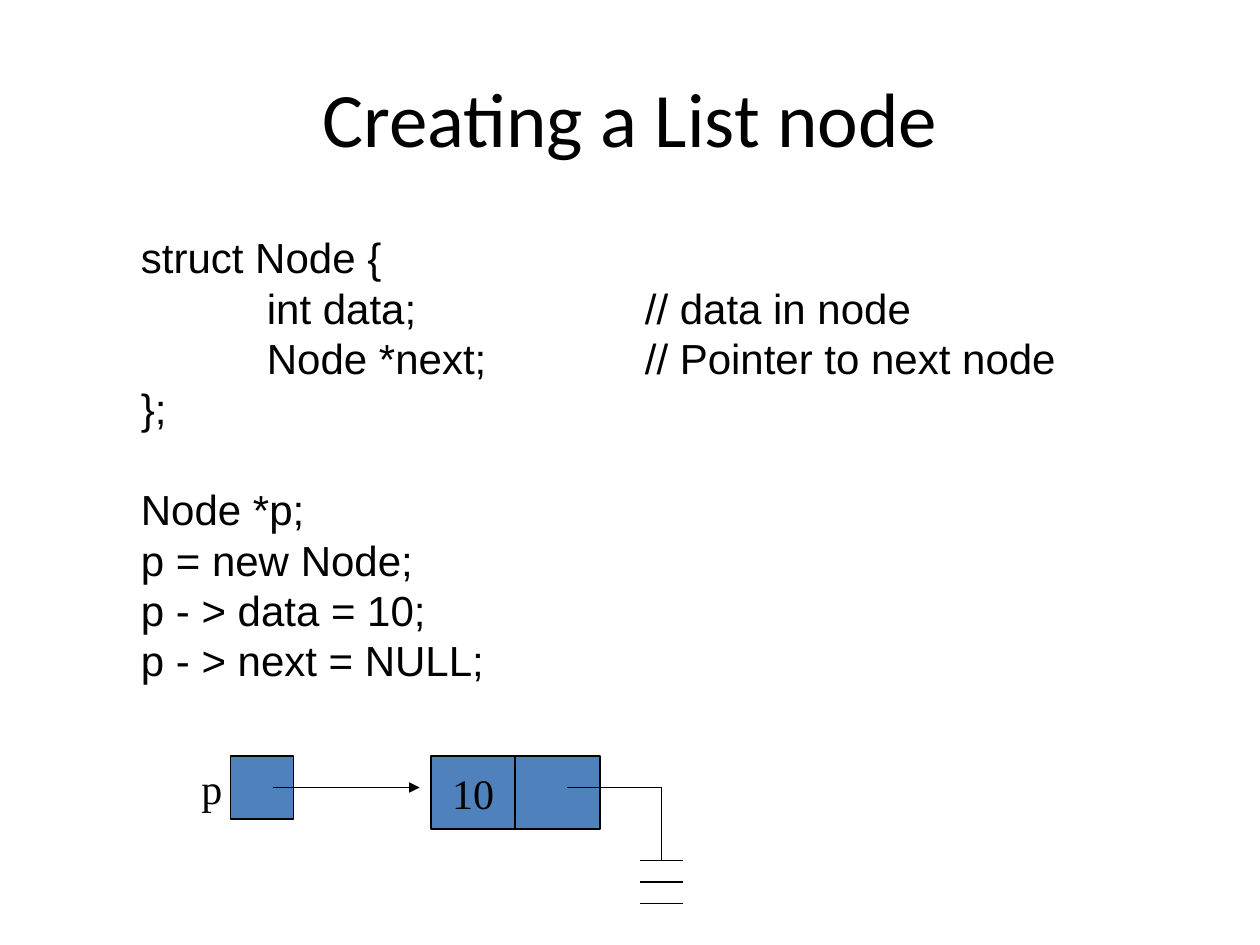
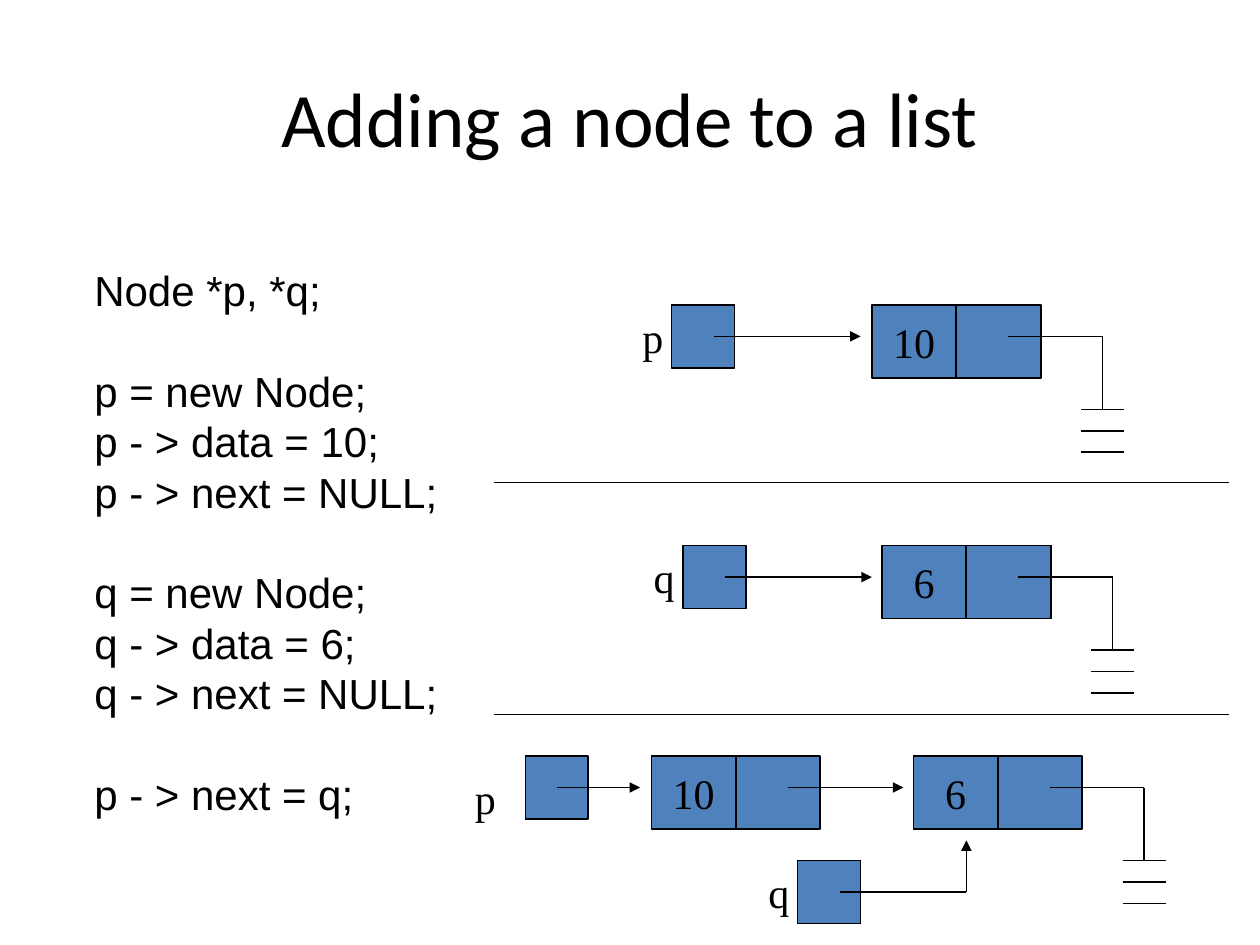
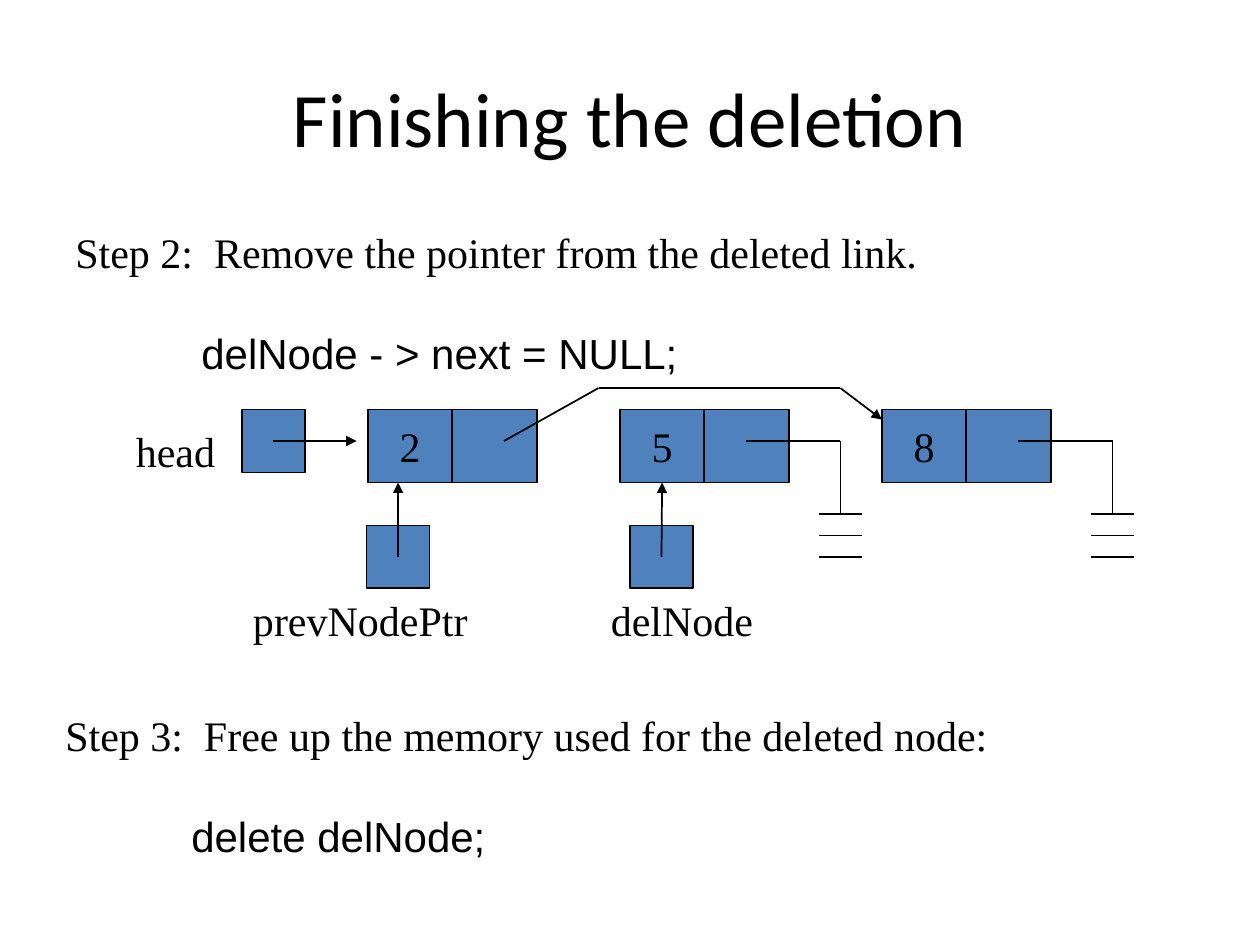
from pptx import Presentation
from pptx.dml.color import RGBColor
from pptx.enum.shapes import MSO_CONNECTOR, MSO_SHAPE
from pptx.enum.text import MSO_ANCHOR, PP_ALIGN
from pptx.oxml.ns import qn
from pptx.util import Inches, Pt
from lxml.etree import SubElement

COLORS = {"ink": "000000", "cell": "4F81BD"}
SERIF, CODE, HEAD = "Times New Roman", "Arial", "Calibri"
CELL_W, CELL_H, BOX = 0.67, 0.58, 0.5
STEP = 0.17   # half width of a null bar, and the gap between bars
LEAD = 28.8   # line height in points

# texts: left, top, width, height, blocks; each block is (font, lines)
# nodes: left, top, value         boxes: left, top of a pointer box
# labels: left, top, width, text  nulls: start of the line to a null sign
# arrows: points, then the value of the node joined below, or None
# lines: points
SLIDES = [
    {
        "title": "Creating a List node",
        "texts": [(1.02, 1.79, 7.46, 3.7, [
            (CODE, ["struct Node {", "\tint data;\t\t// data in node",
                    "\tNode *next;\t\t// Pointer to next node", "};"]),
            (CODE, ["Node *p;", "p = new Node;", "p - > data = 10;",
                    "p - > next = NULL;"]),
        ])],
        "nodes": [(3.42, 6, "10")],
        "boxes": [(1.83, 6)],
        "labels": [(1.5, 6, 0.36, "p")],
        "nulls": [(4.5, 6.25)],
        "arrows": [([(2.17, 6.25), (3.33, 6.25)], None)],
        "lines": [],
    },
    {
        "title": "Adding a node to a list",
        "texts": [(0.65, 2.05, 8.68, 4.9, [
            (CODE, ["Node *p, *q;"]),
            (CODE, ["p = new Node;", "p - > data = 10;", "p - > next = NULL;"]),
            (CODE, ["q = new Node;", "q - > data = 6;", "q - > next = NULL;"]),
            (CODE, ["p - > next = q;"]),
        ])],
        "nodes": [(6.92, 2.42, "10"), (7, 4.33, "6"), (5.17, 6, "10"), (7.25, 6, "6")],
        "boxes": [(5.33, 2.42), (5.42, 4.33), (4.17, 6), (6.33, 6.83)],
        "labels": [(5, 2.42, 0.36, "p"), (5.09, 4.33, 0.36, "q"),
                   (3.67, 6.08, 0.36, "p"), (6, 6.83, 0.36, "q")],
        "nulls": [(8, 2.67), (8.08, 4.58), (8.33, 6.25)],
        "arrows": [
            ([(5.67, 2.67), (6.83, 2.67)], None),
            ([(5.75, 4.58), (6.92, 4.58)], None),
            ([(4.42, 6.25), (5.08, 6.25)], None),
            ([(6.25, 6.25), (7.17, 6.25)], None),
            ([(6.67, 7.08), (7.67, 7.08), (7.67, 6.67)], None),
        ],
        "lines": [[(3.92, y), (9.75, y)] for y in (3.83, 5.67)],
    },
    {
        "title": "Finishing the deletion",
        "texts": [
            (0.5, 1.75, 9.27, 1.3, [
                (SERIF, ["Step 2:  Remove the pointer from the deleted link."]),
                (CODE, ["\tdelNode - > next = NULL;"])]),
            (0.42, 5.58, 9.27, 1.3, [
                (SERIF, ["Step 3:  Free up the memory used for the deleted node:"]),
                (CODE, ["\tdelete delNode;"])]),
        ],
        "nodes": [(2.92, 3.25, "2"), (4.92, 3.25, "5"), (7, 3.25, "8")],
        "boxes": [(1.92, 3.25), (2.91, 4.17), (5, 4.17)],
        "labels": [(0.98, 3.33, 0.83, "head"), (1.91, 4.67, 1.9, "prevNodePtr"),
                   (4.75, 4.67, 1.33, "delNode")],
        "nulls": [(5.92, 3.5), (8.08, 3.5)],
        "arrows": [
            ([(2.17, 3.5), (2.83, 3.5)], None),
            ([(3.16, 4.42), (3.16, 3.83)], None),
            ([(5.25, 4.42), (5.25, 3.83)], "5"),
            ([(4, 3.5), (4.75, 3.08), (6.67, 3.08), (7, 3.33)], None),
        ],
        "lines": [],
    },
]


def color(name):
    return RGBColor.from_string(COLORS[name])


def put(frame, text, font=SERIF, size=24, align=PP_ALIGN.LEFT, lead=LEAD,
        gap=0, more=False):
    """Write one paragraph; with more, add it below those already there."""
    para = frame.add_paragraph() if more else frame.paragraphs[0]
    para.alignment = align
    para.space_before = Pt(gap)
    if lead:
        para.line_spacing = Pt(lead)
    if "\t" in text:
        tabs = SubElement(para._p.get_or_add_pPr(), qn("a:tabLst"))
        for stop in range(1, 8):
            SubElement(tabs, qn("a:tab"), pos=str(Inches(stop)), algn="l")
    run = para.add_run()
    run.text = text
    run.font.name, run.font.size = font, Pt(size)
    run.font.color.rgb = color("ink")


def area(slide, x, y, w, h, wrap=True):
    frame = slide.shapes.add_textbox(*map(Inches, (x, y, w, h))).text_frame
    frame.word_wrap = wrap
    return frame


def rect(slide, x, y, w, h):
    shape = slide.shapes.add_shape(MSO_SHAPE.RECTANGLE, *map(Inches, (x, y, w, h)))
    shape.shadow.inherit = False
    shape.fill.solid()
    shape.fill.fore_color.rgb = color("cell")
    shape.line.color.rgb = color("ink")
    shape.line.width = Pt(1)
    return shape


def node(slide, x, y, value):
    """Draw a data cell and a next cell; return the data cell."""
    data = rect(slide, x, y, CELL_W, CELL_H)
    frame = data.text_frame
    frame.word_wrap = False
    frame.vertical_anchor = MSO_ANCHOR.MIDDLE
    put(frame, value, align=PP_ALIGN.CENTER)
    rect(slide, x + CELL_W, y, CELL_W, CELL_H)
    return data


def trace(slide, points, arrow=False):
    """Join the points by straight lines; return the last line."""
    for start, end in zip(points, points[1:]):
        line = slide.shapes.add_connector(
            MSO_CONNECTOR.STRAIGHT, *map(Inches, start + end))
        line.line.color.rgb = color("ink")
        line.line.width = Pt(1)
        SubElement(line._element.spPr, qn("a:effectLst"))
    if arrow:
        SubElement(line.line._get_or_add_ln(), qn("a:tailEnd"), type="triangle")
    return line


def null(slide, x, y):
    mid, top = x + 0.75, y + CELL_H
    trace(slide, [(x, y), (mid, y), (mid, top)])
    for i in range(3):
        level = top + i * STEP
        trace(slide, [(mid - STEP, level), (mid + STEP, level)])


def build(slide, page):
    head = area(slide, 0.5, 0.3, 9, 1.25)
    head.vertical_anchor = MSO_ANCHOR.MIDDLE
    put(head, page["title"], font=HEAD, size=44, align=PP_ALIGN.CENTER, lead=None)
    for *place, blocks in page["texts"]:
        frame = area(slide, *place)
        for b, (font, lines) in enumerate(blocks):
            for i, text in enumerate(lines):
                put(frame, text, font=font, gap=LEAD if b and not i else 0,
                    more=b + i > 0)
    cells = {value: node(slide, x, y, value) for x, y, value in page["nodes"]}
    for x, y in page["boxes"]:
        rect(slide, x, y, BOX, BOX)
    for x, y, w, text in page["labels"]:
        put(area(slide, x, y, w, BOX, wrap=False), text)
    for x, y in page["nulls"]:
        null(slide, x, y)
    for points, goal in page["arrows"]:
        line = trace(slide, points, arrow=True)
        if goal:
            line.end_connect(cells[goal], 2)
    for points in page["lines"]:
        trace(slide, points)


def main():
    deck = Presentation()
    deck.slide_width, deck.slide_height = Inches(10), Inches(7.5)
    for page in SLIDES:
        build(deck.slides.add_slide(deck.slide_layouts[6]), page)
    deck.save("out.pptx")


if __name__ == "__main__":
    main()
